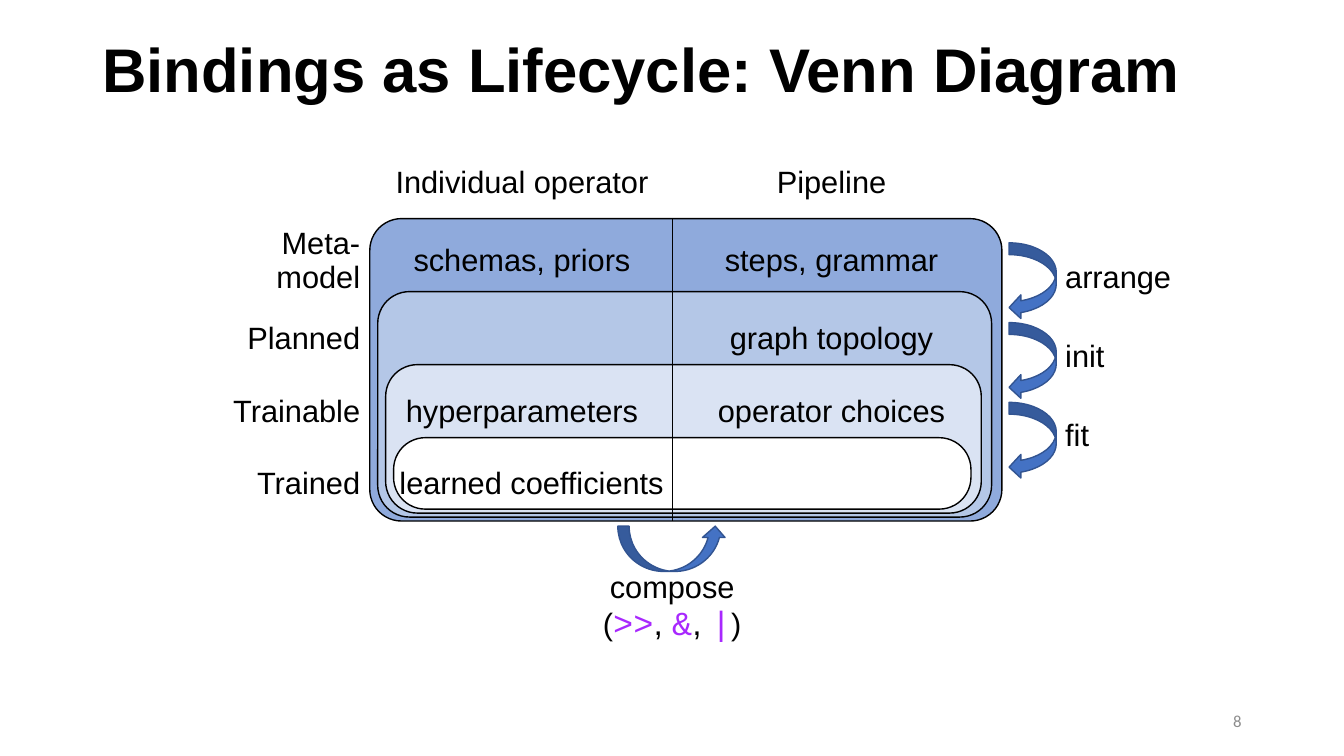
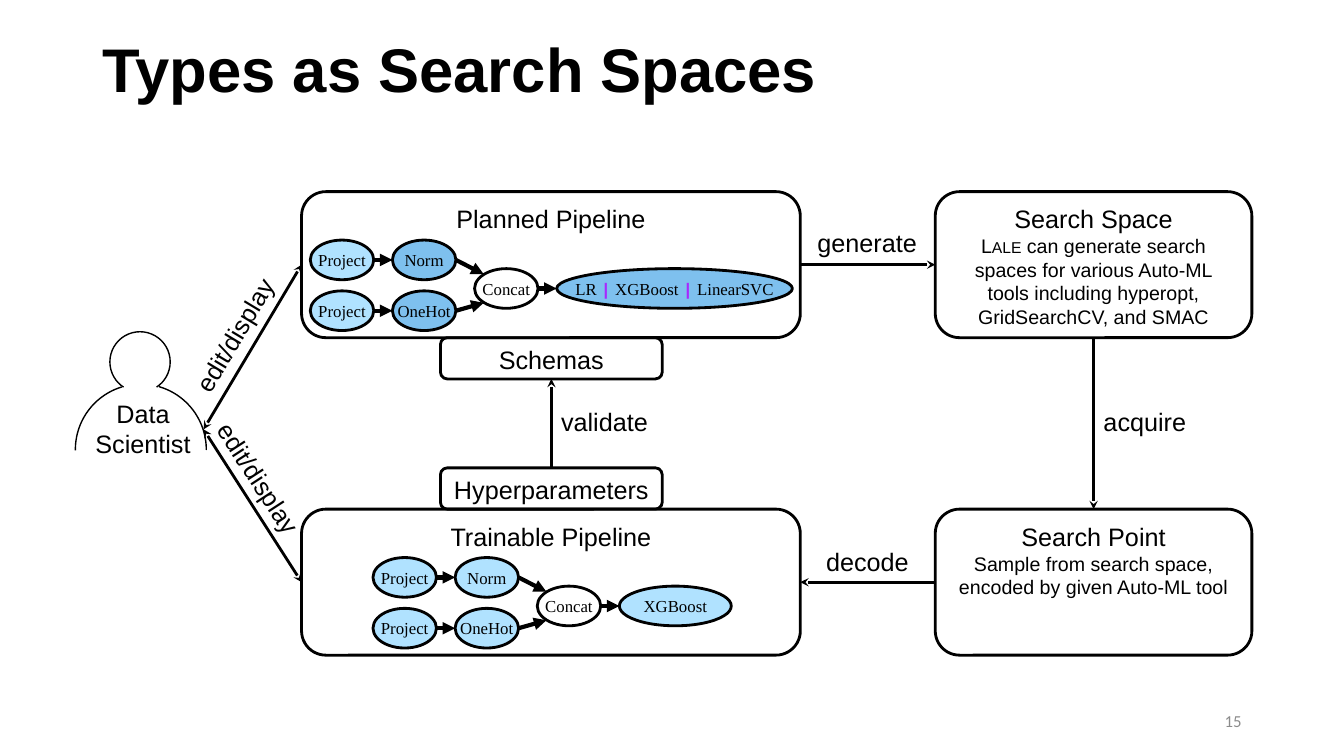
from dataclasses import dataclass

from lxml.etree import SubElement
from pptx import Presentation
from pptx.dml.color import RGBColor
from pptx.enum.shapes import MSO_CONNECTOR as Link, MSO_SHAPE as Shape
from pptx.enum.text import MSO_ANCHOR as Anchor, PP_ALIGN as Align
from pptx.oxml.ns import qn
from pptx.util import Cm, Pt


@dataclass(frozen=True)
class Theme:
    """Colours, fonts and type sizes shared by the slides."""
    ink: str = "000000"
    paper: str = "FFFFFF"
    muted: str = "8C8C8C"
    symbol: str = "A828FE"
    arrow: str = "4472C4"
    arrow_edge: str = "325491"
    layers: tuple = ("8FAADC", "B4C7E7", "DAE3F3", "FFFFFF")
    bound: str = "B0E2FF"
    free: str = "7EC0EE"
    sans: str = "Arial"
    serif: str = "Times New Roman"
    code: str = "Courier New"
    footer: str = "Calibri"

    def style(self, size, name=None, color=None, bold=False):
        """Return the format values of a text span."""
        return {"size": Pt(size), "name": name or self.sans,
                "color": color or self.ink, "bold": bold}


THEME = Theme()
TITLE = THEME.style(44, bold=True)
NUMBER = THEME.style(12, THEME.footer, THEME.muted)
CELL = THEME.style(22)
LIST = THEME.style(24)
SYMBOL = THEME.style(24, THEME.code, THEME.symbol)
LABEL = THEME.style(18)
DETAIL = THEME.style(14)
NODE = THEME.style(12, THEME.serif)
CHOICE = THEME.style(12, THEME.code, THEME.symbol, True)

NO_GRID = "{2D5ABB26-0587-4C30-8999-92F81FD0307C}"
NODE_WIDTH, NODE_HEIGHT = 1.6, 1.0


def set_values(target, values):
    """Set each named attribute of the target."""
    for name, value in values.items():
        setattr(target, name, value)


def write(frame, lines, style, align=Align.LEFT, **para_values):
    """Fill a text frame; a line is a string or a list of (text, style)."""
    for index, line in enumerate(lines):
        para = frame.add_paragraph() if index else frame.paragraphs[0]
        set_values(para, {"alignment": align, **para_values})
        for text, look in [(line, style)] if isinstance(line, str) else line:
            span = para.add_run()
            span.text = text
            values = dict(look)
            span.font.color.rgb = RGBColor.from_string(values.pop("color"))
            if values.pop("small_caps", False):
                span.font._element.set("cap", "small")
            set_values(span.font, values)


def add_text(page, place, lines, style, align=Align.LEFT, anchor=Anchor.TOP,
             wrap=False, rotation=0, **para_values):
    """Add a text box."""
    box = page.shapes.add_textbox(*map(Cm, place))
    box.rotation = rotation
    set_values(box.text_frame, {"word_wrap": wrap, "vertical_anchor": anchor})
    write(box.text_frame, lines, style, align, **para_values)
    return box


def add_box(page, kind, place, fill=None, edge=THEME.ink, weight=1, adjust=()):
    """Add a flat preset shape."""
    box = page.shapes.add_shape(kind, *map(Cm, place))
    box.shadow.inherit = False
    if fill:
        box.fill.solid()
        box.fill.fore_color.rgb = RGBColor.from_string(fill)
    else:
        box.fill.background()
    box.line.color.rgb = RGBColor.from_string(edge)
    box.line.width = Pt(weight)
    for index, value in enumerate(adjust):
        box.adjustments[index] = value
    return box


def add_card(page, place, lines):
    """Add an outlined round box with centred text."""
    card = add_box(page, Shape.ROUNDED_RECTANGLE, place, weight=2)
    set_values(card.text_frame, {"word_wrap": True, "vertical_anchor": Anchor.TOP})
    write(card.text_frame, lines, LABEL, Align.CENTER)
    return card


def add_line(page, start, end, weight=1, head=None, tail=None):
    """Add a straight line with optional arrowheads."""
    line = page.shapes.add_connector(Link.STRAIGHT, *map(Cm, (*start, *end)))
    line.line.color.rgb = RGBColor.from_string(THEME.ink)
    line.line.width = Pt(weight)
    properties = line.element.spPr
    outline = properties.find(qn("a:ln"))
    for tag, kind in (("a:headEnd", head), ("a:tailEnd", tail)):
        if kind:
            SubElement(outline, qn(tag)).set("type", kind)
    SubElement(properties, qn("a:effectLst"))
    return line


def join(page, source, source_site, target, target_site):
    """Glue an arrow between two cards (sites: 0 top, 1 left, 2 bottom, 3 right)."""
    line = add_line(page, (0, 0), (1, 1), 2, tail="stealth")
    line.begin_connect(source, source_site)
    line.end_connect(target, target_site)


def add_grid(page, left, top, widths, row_height, rows, aligns):
    """Add a clear table without borders."""
    frame = page.shapes.add_table(len(rows), len(widths), Cm(left), Cm(top),
                                  Cm(sum(widths)), Cm(row_height * len(rows)))
    table = frame.table
    set_values(table, {"first_row": False, "horz_banding": False})
    for style_id in frame.element.iter(qn("a:tableStyleId")):
        style_id.text = NO_GRID
    for column, width in zip(table.columns, widths):
        column.width = Cm(width)
    for row, entries in zip(table.rows, rows):
        row.height = Cm(row_height)
        for cell, entry, align in zip(row.cells, entries, aligns):
            cell.fill.background()
            cell.vertical_anchor = Anchor.MIDDLE
            if entry:
                write(cell.text_frame, [entry], CELL, align)
    return table


def add_page(deck, title, number):
    """Add a blank slide with its title and number."""
    page = deck.slides.add_slide(deck.slide_layouts[6])
    add_text(page, (2.33, 0, 29.21, 3.68), [title], TITLE, anchor=Anchor.MIDDLE,
             wrap=True, line_spacing=0.9)
    add_text(page, (23.92, 17.65, 7.62, 1.02), [number], NUMBER, Align.RIGHT,
             Anchor.MIDDLE, wrap=True)
    return page


def add_layers(page, left, top, right, bottom, step):
    """Add the nested lifecycle layers, outermost first."""
    for index, fill in enumerate(THEME.layers):
        x, y = left + 0.2 * index, top + step * index
        width = right - 0.26 * index - x
        height = bottom - 0.1 * index - y
        add_box(page, Shape.ROUNDED_RECTANGLE, (x, y, width, height), fill,
                adjust=[0.8 / height])


def add_curve(page, kind, place):
    """Add a curved block arrow."""
    add_box(page, kind, place, THEME.arrow, THEME.arrow_edge)


def draw_lifecycle(deck):
    """Build the Venn diagram slide."""
    page = add_page(deck, "Bindings as Lifecycle: Venn Diagram", "8")
    top, bottom, middle, step = 5.51, 13.13, 16.94, 1.84
    add_layers(page, 9.32, top, 25.25, bottom, step)
    add_line(page, (middle, top), (middle, bottom))
    for index in range(3):
        add_curve(page, Shape.CURVED_LEFT_ARROW, (25.43, 6.12 + 2.01 * index, 1.19, 1.93))
    add_curve(page, Shape.CURVED_UP_ARROW, (15.57, 13.26, 2.74, 1.14))
    compose = [("compose (", CELL), (">>", SYMBOL), (", ", LIST), ("&", SYMBOL),
               (", ", LIST), ("|", SYMBOL), (")", CELL)]
    add_grid(page, 14.91, 14.22, [4.06], 1.83, [[compose]], [Align.CENTER])
    stages = [
        ("", "Individual operator", "Pipeline"),
        ("Meta-model", "schemas, priors", "steps, grammar"),
        ("Planned", "", "graph topology"),
        ("Trainable", "hyperparameters", "operator choices"),
        ("Trained", "learned coefficients", ""),
    ]
    table = add_grid(page, 4.78, 3.68, [4.55, 7.65, 7.95], 1.83, stages,
                     [Align.RIGHT, Align.CENTER, Align.CENTER])
    table.cell(4, 1).text_frame.paragraphs[0].alignment = Align.RIGHT
    add_grid(page, 26.59, 6.02, [3.28], 1.98, [["arrange"], ["init"], ["fit"]],
             [Align.LEFT])


def add_node(page, left, top, line, fill, width=NODE_WIDTH):
    """Add an operator ellipse."""
    node = add_box(page, Shape.OVAL, (left, top, width, NODE_HEIGHT), fill, weight=2)
    set_values(node.text_frame, {"word_wrap": False, "vertical_anchor": Anchor.MIDDLE})
    write(node.text_frame, [line], NODE, Align.CENTER)


def add_pipeline(page, left, top, fill, estimator, width):
    """Add a group of two branches that meet in Concat and feed an estimator."""
    group = page.shapes.add_group_shape()
    pitch, row, half = 2.07, 1.28, NODE_HEIGHT / 2
    second, concat, last = (left + pitch * n for n in (1, 2, 3))
    center = top + row / 2 + 0.08
    for index, name in enumerate(("Norm", "OneHot")):
        y = top + row * index
        add_node(group, left, y, "Project", THEME.bound)
        add_node(group, second, y, name, fill)
        side = 0.36 * (2 * index - 1)
        for start, end in (
                ((left + NODE_WIDTH, y + half), (second, y + half)),
                ((second + NODE_WIDTH, y + half), (concat + 0.23, center + half + side))):
            add_line(group, start, end, 3, tail="triangle")
    add_node(group, concat, center, "Concat", THEME.paper)
    add_node(group, last, center, estimator, fill, width)
    add_line(group, (concat + NODE_WIDTH, center + half), (last, center + half), 3,
             tail="triangle")


def add_person(page):
    """Add the data scientist outline."""
    person = page.shapes.add_group_shape()
    head, body = (2.77, 8.36, 1.52, 1.52), (1.9, 9.68, 3.3, 3.3)
    for place, angles in ((head, (73.91, 34.01)), (body, (107.54, 151.86)),
                          (body, (171.68, 0.23))):
        add_box(person, Shape.ARC, place, adjust=angles)
    add_text(person, (2.08, 9.91, 3.05, 1.8), ["Data", "Scientist"], LABEL, Align.CENTER)


def draw_search_spaces(deck):
    """Build the search space slide."""
    page = add_page(deck, "Types as Search Spaces", "15")
    upper, lower, height = 4.83, 12.83, 3.68
    left, width, far, far_width = 7.6, 12.57, 23.57, 7.98
    planned = add_card(page, (left, upper, width, height), ["Planned Pipeline"])
    trainable = add_card(page, (left, lower, width, height), ["Trainable Pipeline"])
    space = add_card(page, (far, upper, far_width, height), [
        "Search Space",
        [("Lale", {**DETAIL, "small_caps": True}),
         (" can generate search spaces for various Auto-ML tools including "
          "hyperopt, GridSearchCV, and SMAC", DETAIL)]])
    point = add_card(page, (far, lower, far_width, height), [
        "Search Point",
        [("Sample from search space, encoded by given Auto-ML tool", DETAIL)]])
    tab = 1.04
    schemas = add_card(page, (11.1, upper + height, 5.59, tab), ["Schemas"])
    hyper = add_card(page, (11.1, lower - tab, 5.59, tab), ["Hyperparameters"])

    choices = [("LR ", NODE), ("|", CHOICE), (" XGBoost ", NODE), ("|", CHOICE),
               (" LinearSVC", NODE)]
    add_pipeline(page, 7.82, upper + 1.22, THEME.free, choices, 5.94)
    add_pipeline(page, 9.4, lower + 1.22, THEME.bound, "XGBoost", 2.82)

    join(page, planned, 3, space, 1)
    join(page, space, 2, point, 0)
    join(page, point, 1, trainable, 3)
    join(page, hyper, 0, schemas, 2)
    add_person(page)
    for top in (upper, lower):
        add_line(page, (5.13, 10.82), (left, top + height / 2), 2, "stealth", "stealth")
    for x, y, label_width, text, rotation in (
            (20.35, 5.61, 3.05, "generate", 0), (27.56, 10.11, 2.62, "acquire", 0),
            (20.57, 13.64, 2.62, "decode", 0), (13.89, 10.11, 2.72, "validate", 0),
            (4.06, 7.92, 3.71, "edit/display", 301),
            (4.67, 11.56, 3.71, "edit/display", 57)):
        add_text(page, (x, y, label_width, 1.02), [text], LABEL, rotation=rotation)


def main():
    """Build and save the deck."""
    deck = Presentation()
    set_values(deck, {"slide_width": Cm(33.87), "slide_height": Cm(19.05)})
    draw_lifecycle(deck)
    draw_search_spaces(deck)
    deck.save("out.pptx")


main()
